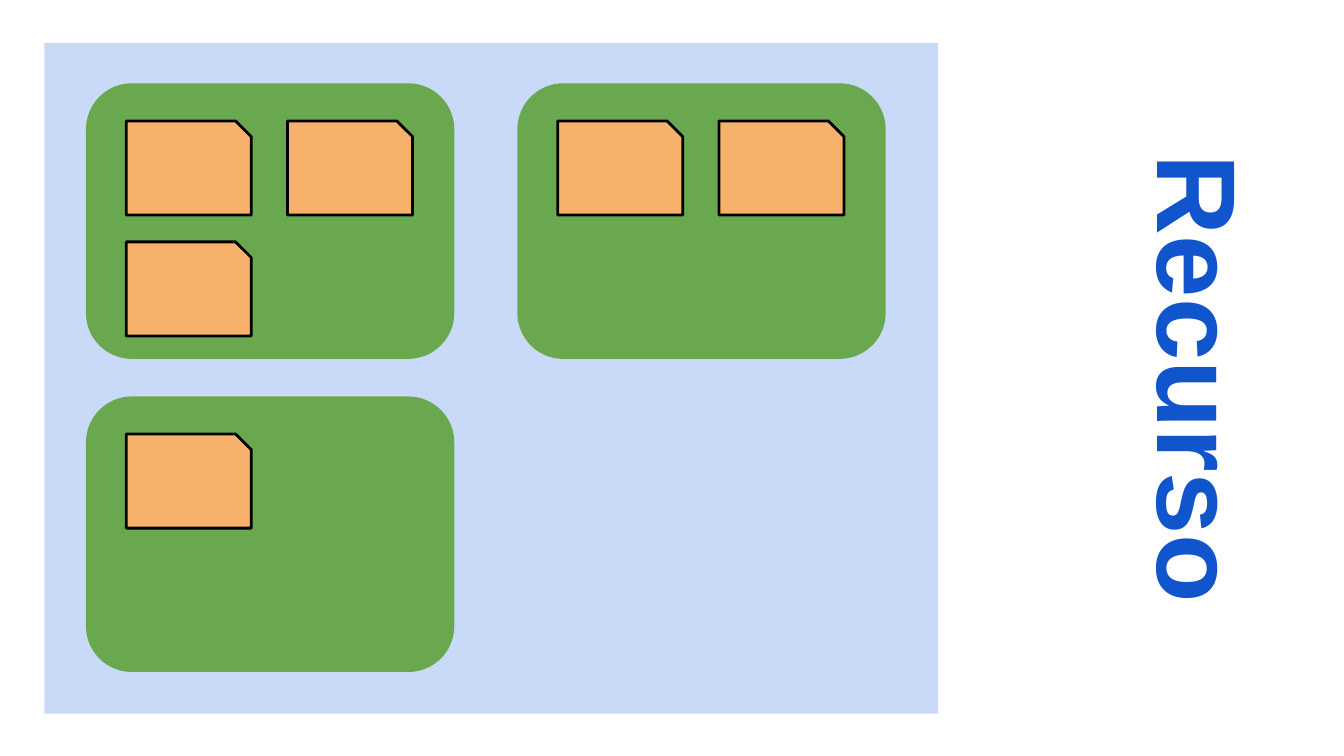
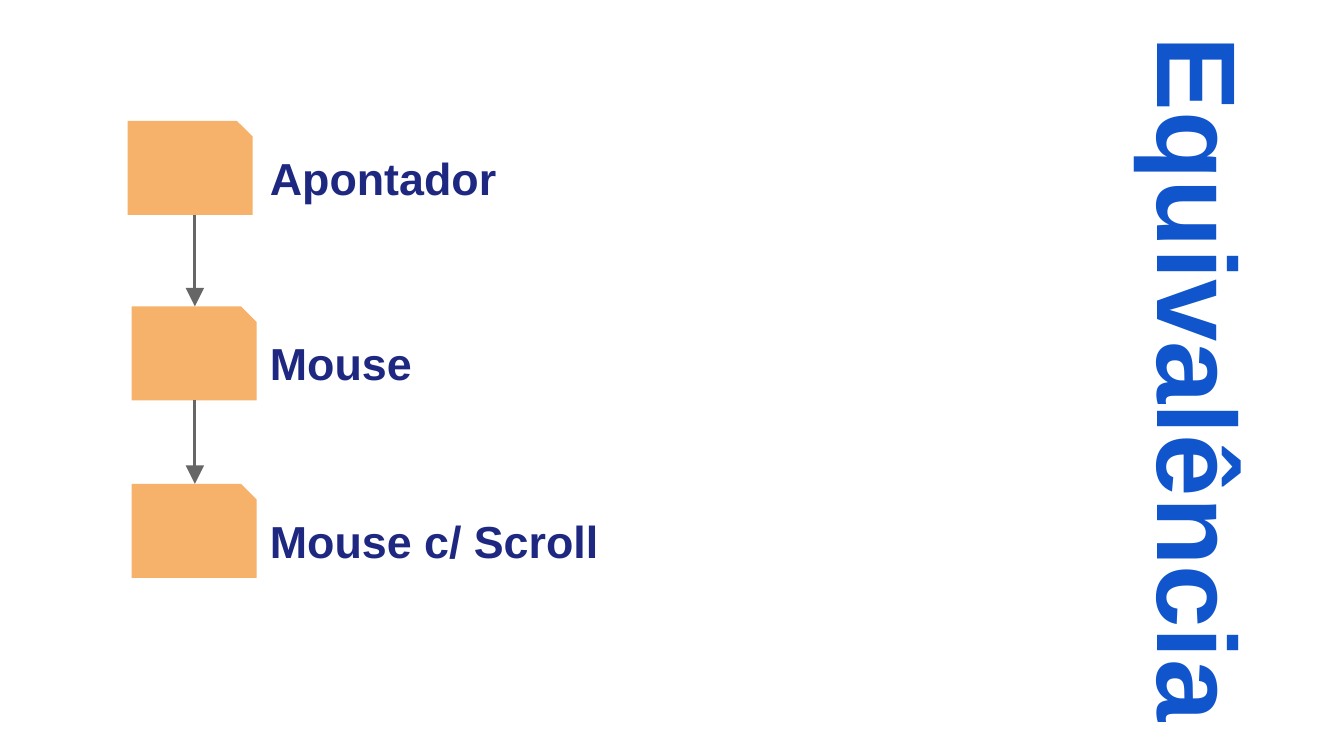
from lxml import etree
from pptx import Presentation
from pptx import util as u
from pptx.dml.color import RGBColor
from pptx.enum import shapes, text
from pptx.oxml.ns import qn

# Content
RESOURCE = {"title": "Recurso", "title_length": 4.99}
GROUPS = [  # column, row, number of cards
    (0, 0, 3),
    (1, 0, 2),
    (0, 1, 1),
]
EQUIVALENCE = {"title": "Equivalência", "title_length": 5.59}
STEPS = [  # label, label width, card left, card top
    ("Apontador", 1.96, 0.95, 0.9),
    ("Mouse", 1.96, 0.98, 2.28),
    ("Mouse c/ Scroll", 2.7, 0.98, 3.6),
]

# Shared style
FONT = "Arial"
PANEL, GROUP, CARD = "C9DAF8", "6AA84F", "F6B26B"
TITLE, LABEL, ARROW, OUTLINE = "1155CC", "1F2881", "666666", "000000"
LINE_WIDTH = 1.5

# Grid, in inches
PAGE_W = 10
PAGE_H = PAGE_W * 9 / 16
TITLE_CENTRE, TITLE_DEPTH = (8.47, 2.82), 2.15
PANEL_BOX = (0.33, 0.32, 6.65, 4.99)
GROUP_ORIGIN, GROUP_STEP, GROUP_SIZE = (0.64, 0.62), (3.21, 2.33), (2.74, 2.05)
CARD_INSET, CARD_STEP, CARD_SIZE = (0.3, 0.28), (1.2, 0.9), (0.93, 0.7)
CARDS_PER_ROW = 2
LABEL_LEFT, LABEL_DROP, LABEL_H = 1.91, 0.12, 0.46
ARROW_X = 1.45


def colour(value):
    return RGBColor.from_string(value)


def inches(*lengths):
    return [u.Inches(length) for length in lengths]


def add_block(page, kind, box, fill, outline=None):
    block = page.shapes.add_shape(kind, *inches(*box))
    block.shadow.inherit = False
    block.fill.solid()
    block.fill.fore_color.rgb = colour(fill)
    if outline:
        block.line.color.rgb = colour(outline)
        block.line.width = u.Pt(LINE_WIDTH)
    else:
        block.line.fill.background()


def add_card(page, left, top, outline=None):
    add_block(page, shapes.MSO_SHAPE.SNIP_1_RECTANGLE,
              (left, top, *CARD_SIZE), CARD, outline)


def add_text(page, words, box, size, ink, align=text.PP_ALIGN.LEFT):
    label = page.shapes.add_textbox(*inches(*box))
    frame = label.text_frame
    frame.word_wrap = True
    frame.vertical_anchor = text.MSO_ANCHOR.TOP
    frame.margin_left = frame.margin_right = u.Inches(0.1)
    frame.margin_top = frame.margin_bottom = u.Inches(0.1)
    frame.text = words
    para = frame.paragraphs[0]
    para.alignment = align
    font = para.runs[0].font
    font.name, font.size, font.bold = FONT, u.Pt(size), True
    font.color.rgb = colour(ink)
    return label


def add_title(page, title, title_length):
    centre_x, centre_y = TITLE_CENTRE
    box = (centre_x - title_length / 2, centre_y - TITLE_DEPTH / 2,
           title_length, TITLE_DEPTH)
    add_text(page, title, box, 60, TITLE, text.PP_ALIGN.CENTER).rotation = 90


def add_arrow(page, start, end):
    arrow = page.shapes.add_connector(
        shapes.MSO_CONNECTOR.STRAIGHT, *inches(*start, *end))
    arrow.line.color.rgb = colour(ARROW)
    arrow.line.width = u.Pt(LINE_WIDTH)
    etree.SubElement(arrow.line._get_or_add_ln(), qn("a:tailEnd"),
                     type="triangle", w="lg", len="lg")
    etree.SubElement(arrow._element.spPr, qn("a:effectLst"))


def build_resource(page):
    add_block(page, shapes.MSO_SHAPE.RECTANGLE, PANEL_BOX, PANEL)
    for column, row, cards in GROUPS:
        left = GROUP_ORIGIN[0] + column * GROUP_STEP[0]
        top = GROUP_ORIGIN[1] + row * GROUP_STEP[1]
        add_block(page, shapes.MSO_SHAPE.ROUNDED_RECTANGLE,
                  (left, top, *GROUP_SIZE), GROUP)
        for index in range(cards):
            card_row, card_column = divmod(index, CARDS_PER_ROW)
            add_card(page, left + CARD_INSET[0] + card_column * CARD_STEP[0],
                     top + CARD_INSET[1] + card_row * CARD_STEP[1], OUTLINE)
    add_title(page, **RESOURCE)


def build_equivalence(page):
    for words, width, left, top in STEPS:
        add_card(page, left, top)
        add_text(page, words, (LABEL_LEFT, top + LABEL_DROP, width, LABEL_H),
                 24, LABEL)
    # Each arrow runs from the foot of a card to the head of the next
    tops = [step[-1] for step in STEPS]
    for upper, lower in zip(tops, tops[1:]):
        add_arrow(page, (ARROW_X, upper + CARD_SIZE[1]), (ARROW_X, lower))
    add_title(page, **EQUIVALENCE)


def main():
    deck = Presentation()
    deck.slide_width, deck.slide_height = inches(PAGE_W, PAGE_H)
    for build in (build_resource, build_equivalence):
        build(deck.slides.add_slide(deck.slide_layouts[6]))
    deck.save("out.pptx")


if __name__ == "__main__":
    main()
